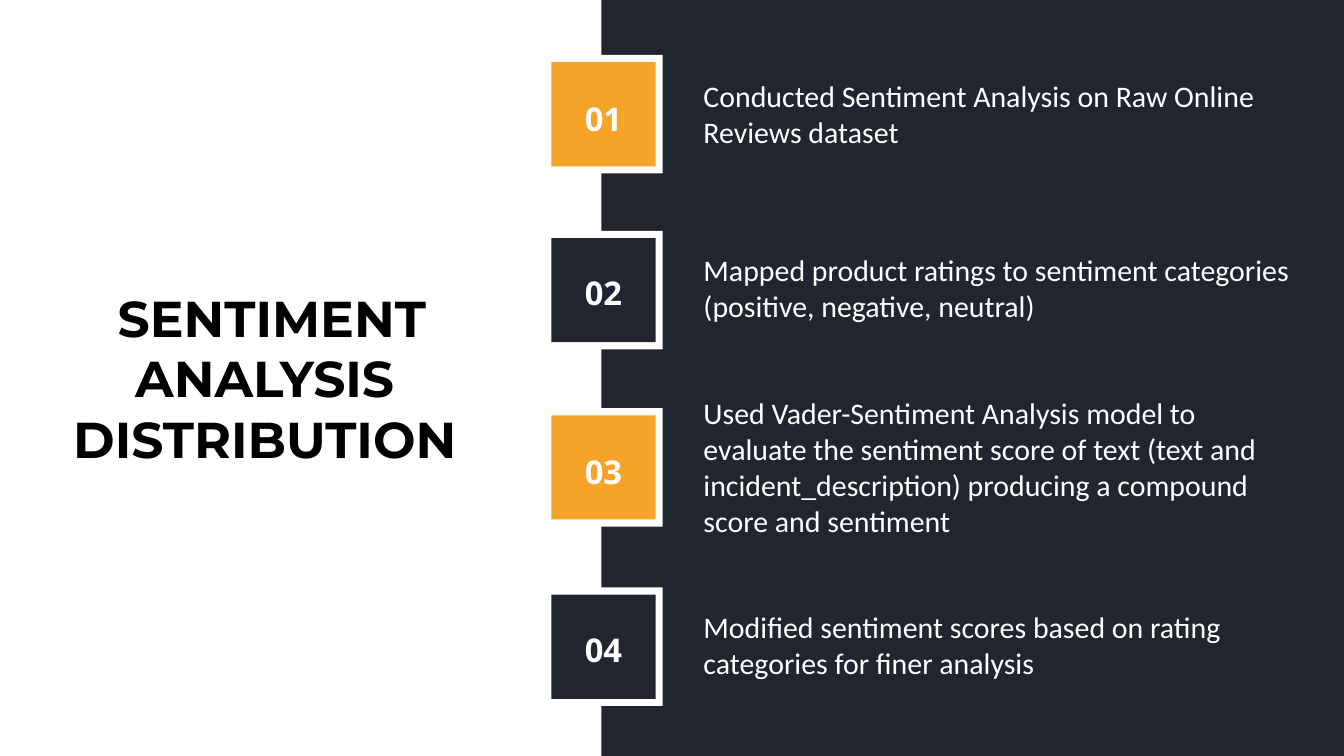
"""Build the sentiment analysis distribution slide with four numbered steps."""
from pptx import Presentation
from pptx.dml.color import RGBColor
from pptx.enum.shapes import MSO_SHAPE as Shape
from pptx.enum.text import MSO_ANCHOR as Anchor, MSO_AUTO_SIZE as AutoSize, PP_ALIGN as Align
from pptx.util import Cm, Pt

WHITE, BLACK, NAVY, ORANGE = "FFFFFF", "000000", "20252F", "F6A429"
TITLE = "SENTIMENT ANALYSIS \vDISTRIBUTION "
# (number, tile colour, tile centre, text centre, text height, text)
STEPS = [
    ("01", ORANGE, 4.32, 4.32, 2.74,
     "Conducted Sentiment Analysis on Raw Online Reviews dataset"),
    ("02", NAVY, 10.97, 10.9, 2.74,
     "Mapped product ratings to sentiment categories (positive, negative, neutral)"),
    ("03", ORANGE, 17.67, 17.66, 5.46,
     "Used Vader-Sentiment Analysis model to evaluate the sentiment score of text "
     "(text and incident_description) producing a compound score and sentiment"),
    ("04", NAVY, 24.45, 24.39, 2.74,
     "Modified sentiment scores based on rating categories for finer analysis"),
]
FRAME, TILE, TILE_CENTRE = 4.48, 3.94, 22.81
NUMBER_HEIGHT = 1.63
TEXT_LEFT, TEXT_WIDTH = 26.59, 22.73


def color(value):
    return RGBColor.from_string(value)


def add_rectangle(slide, left, top, width, height, fill):
    shape = slide.shapes.add_shape(Shape.RECTANGLE, Cm(left), Cm(top), Cm(width), Cm(height))
    shape.shadow.inherit = False
    shape.fill.solid()
    shape.fill.fore_color.rgb = color(fill)
    shape.line.fill.background()
    return shape


def add_square(slide, middle, side, fill):
    return add_rectangle(slide, TILE_CENTRE - side / 2, middle - side / 2, side, side, fill)


def write(paragraph, text, font, size, fill, bold=False):
    for index, part in enumerate(text.split("\v")):
        if index:
            paragraph.add_line_break()
        run = paragraph.add_run()
        run.text = part
        run.font.name = font
        run.font.size = Pt(size)
        run.font.bold = bold
        run.font.color.rgb = color(fill)


def add_text(slide, left, middle, width, height, text, font, size, bold=False):
    box = slide.shapes.add_textbox(Cm(left), Cm(middle - height / 2), Cm(width), Cm(height))
    frame = box.text_frame
    frame.word_wrap = True
    frame.margin_left = frame.margin_top = frame.margin_right = frame.margin_bottom = 0
    paragraph = frame.paragraphs[0]
    write(paragraph, text, font, size, WHITE, bold)
    return paragraph


def add_title(slide):
    title = slide.shapes.title
    title.left, title.top, title.width, title.height = Cm(2.16), Cm(9.8), Cm(16.23), Cm(8.94)
    frame = title.text_frame
    frame.word_wrap = True
    frame.auto_size = AutoSize.NONE
    frame.vertical_anchor = Anchor.MIDDLE
    paragraph = frame.paragraphs[0]
    paragraph.alignment = Align.CENTER
    write(paragraph, TITLE, "Montserrat", 54, BLACK, True)


def add_step(slide, number, fill, tile_middle, text_middle, text_height, text):
    add_square(slide, tile_middle, FRAME, WHITE)
    add_square(slide, tile_middle, TILE, fill)
    label = add_text(slide, TILE_CENTRE - TILE / 2, text_middle, TILE, NUMBER_HEIGHT,
                     number, "Open Sans", 35, True)
    label.alignment = Align.CENTER
    label.line_spacing = Pt(49)
    add_text(slide, TEXT_LEFT, text_middle, TEXT_WIDTH, text_height, text, "Calibri", 32)


def main():
    presentation = Presentation()
    presentation.slide_width, presentation.slide_height = Cm(50.8), Cm(28.58)
    slide = presentation.slides.add_slide(presentation.slide_layouts[5])
    slide.background.fill.solid()
    slide.background.fill.fore_color.rgb = color(NAVY)
    panel = add_rectangle(slide, 0, 0, 22.73, 28.58, WHITE)
    slide.shapes.title._element.addprevious(panel._element)
    add_title(slide)
    for step in STEPS:
        add_step(slide, *step)
    presentation.save("out.pptx")


if __name__ == "__main__":
    main()
